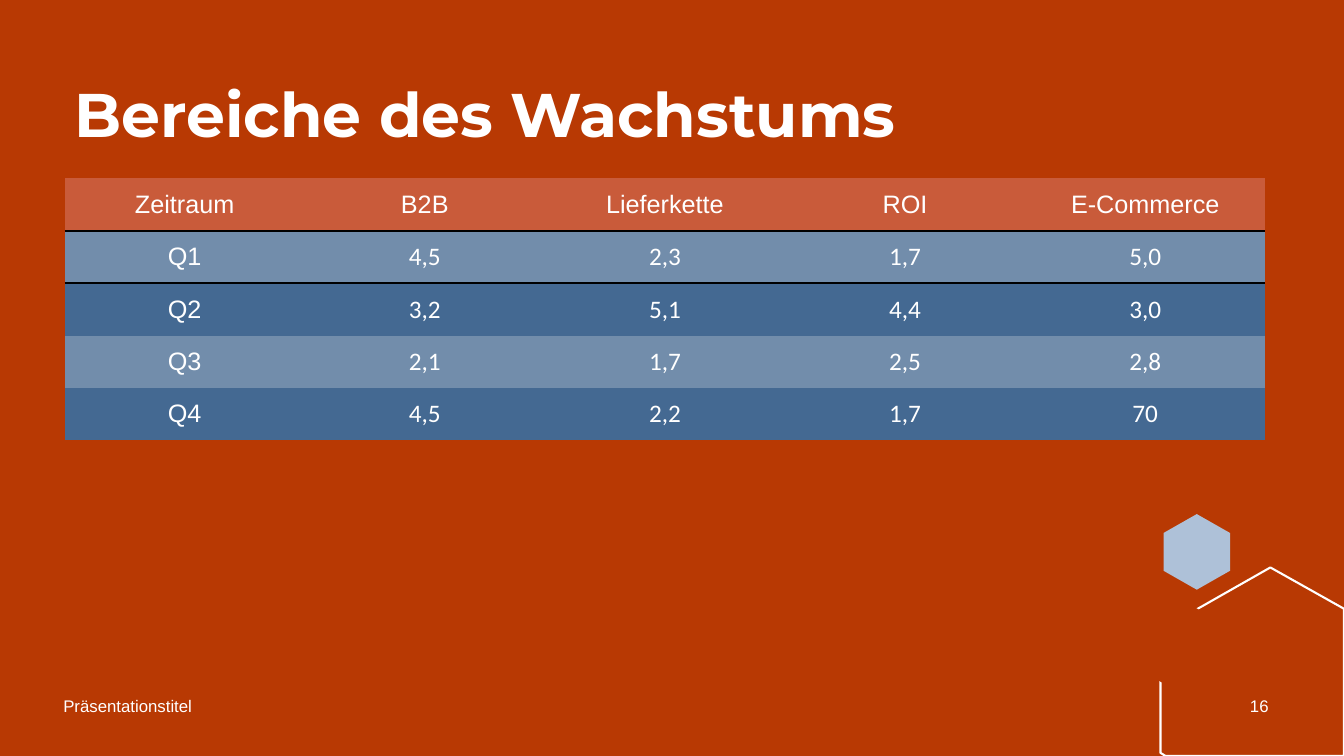
from lxml import etree
from pptx import Presentation
from pptx.dml.color import RGBColor
from pptx.enum import text
from pptx.oxml import ns
from pptx.util import Inches, Pt

RUST = RGBColor(0xB8, 0x39, 0x03)
LIGHT_RUST = RGBColor(0xC9, 0x5B, 0x3A)
LIGHT_BLUE = RGBColor(0x72, 0x8D, 0xAB)
BLUE = RGBColor(0x44, 0x69, 0x92)
PALE_BLUE = RGBColor(0xAE, 0xC1, 0xD8)
WHITE = RGBColor(0xFF, 0xFF, 0xFF)
BLACK = RGBColor(0x00, 0x00, 0x00)

PLAIN_TABLE = "{2D5ABB26-0587-4C30-8999-92F81FD0307C}"
GROWTH = [
    ["Zeitraum", "B2B", "Lieferkette", "ROI", "E-Commerce"],
    ["Q1", "4,5", "2,3", "1,7", "5,0"],
    ["Q2", "3,2", "5,1", "4,4", "3,0"],
    ["Q3", "2,1", "1,7", "2,5", "2,8"],
    ["Q4", "4,5", "2,2", "1,7", "70"],
]


class SlideBuilder:
    body_font = "Arial"
    title_font = "Montserrat"
    number_font = "Calibri"

    def __init__(self, slide):
        self.slide = slide

    def background(self, color):
        fill = self.slide.background.fill
        fill.solid()
        fill.fore_color.rgb = color

    def polygon(self, points, fill=None, line=None):
        start, *others = [(Inches(x), Inches(y)) for x, y in points]
        builder = self.slide.shapes.build_freeform(*start, scale=1.0)
        builder.add_line_segments(others, close=True)
        shape = builder.convert_to_shape()
        shape.shadow.inherit = False
        if fill is None:
            shape.fill.background()
        else:
            shape.fill.solid()
            shape.fill.fore_color.rgb = fill
        if line is None:
            shape.line.fill.background()
        else:
            shape.line.color.rgb = line
            shape.line.width = Pt(1.5)

    def hexagon(self, left, top, width, height, fill):
        middle, right = left + width / 2, left + width
        upper, lower = top + height / 4, top + height * 3 / 4
        self.polygon([(middle, top), (right, upper), (right, lower),
                      (middle, top + height), (left, lower), (left, upper)], fill)

    def add_text(self, paragraph, content, size, font, bold=False, align=text.PP_ALIGN.LEFT):
        paragraph.alignment = align
        run = paragraph.add_run()
        run.text = content
        run.font.size = Pt(size)
        run.font.name = font
        run.font.bold = bold
        run.font.color.rgb = WHITE

    def text_box(self, box, content, size=12, font=body_font, bold=False,
                 align=text.PP_ALIGN.LEFT, anchor=text.MSO_ANCHOR.MIDDLE, spacing=1.0):
        frame = self.slide.shapes.add_textbox(*map(Inches, box)).text_frame
        frame.word_wrap = True
        frame.vertical_anchor = anchor
        paragraph = frame.paragraphs[0]
        paragraph.line_spacing = spacing
        self.add_text(paragraph, content, size, font, bold, align)

    def border(self, cell, tag):
        line = etree.Element(ns.qn(tag), w=str(Pt(1.5)))
        fill = etree.SubElement(line, ns.qn("a:solidFill"))
        etree.SubElement(fill, ns.qn("a:srgbClr"), val=str(BLACK))
        cell._tc.get_or_add_tcPr().insert(0, line)

    def table(self, box, rows):
        frame = self.slide.shapes.add_table(len(rows), len(rows[0]), *map(Inches, box))
        table = frame.table
        table.first_row = False
        table.horz_banding = False
        table._tbl.tblPr.find(ns.qn("a:tableStyleId")).text = PLAIN_TABLE
        for row, values in enumerate(rows):
            color = LIGHT_RUST if row == 0 else LIGHT_BLUE if row % 2 else BLUE
            for column, value in enumerate(values):
                cell = table.cell(row, column)
                cell.fill.solid()
                cell.fill.fore_color.rgb = color
                cell.vertical_anchor = text.MSO_ANCHOR.MIDDLE
                font = self.number_font if row and column else self.body_font
                self.add_text(cell.text_frame.paragraphs[0], value, 18, font,
                              align=text.PP_ALIGN.CENTER)
                if row < 2:
                    self.border(cell, "a:lnT" if row else "a:lnB")


def main():
    presentation = Presentation()
    presentation.slide_width = Inches(13.33)
    presentation.slide_height = Inches(7.5)
    builder = SlideBuilder(presentation.slides.add_slide(presentation.slide_layouts[6]))
    builder.background(RUST)
    builder.hexagon(11.54, 5.1, 0.66, 0.75, PALE_BLUE)
    builder.polygon([(12.6, 5.63), (13.33, 6.04), (13.33, 7.5), (11.56, 7.5),
                     (11.51, 7.47), (11.51, 6.25)], line=WHITE)
    builder.hexagon(11.13, 5.85, 0.82, 0.93, RUST)
    builder.text_box((0.64, 0.79, 11.91, 1.55), "Bereiche des Wachstums", 44,
                     builder.title_font, True, anchor=text.MSO_ANCHOR.TOP, spacing=0.9)
    builder.table((0.64, 1.77, 11.91, 2.6), GROWTH)
    builder.text_box((0.53, 6.8, 4.5, 0.4), "Präsentationstitel")
    builder.text_box((12.24, 6.8, 0.5, 0.4), "16", align=text.PP_ALIGN.CENTER)
    presentation.save("out.pptx")


if __name__ == "__main__":
    main()
